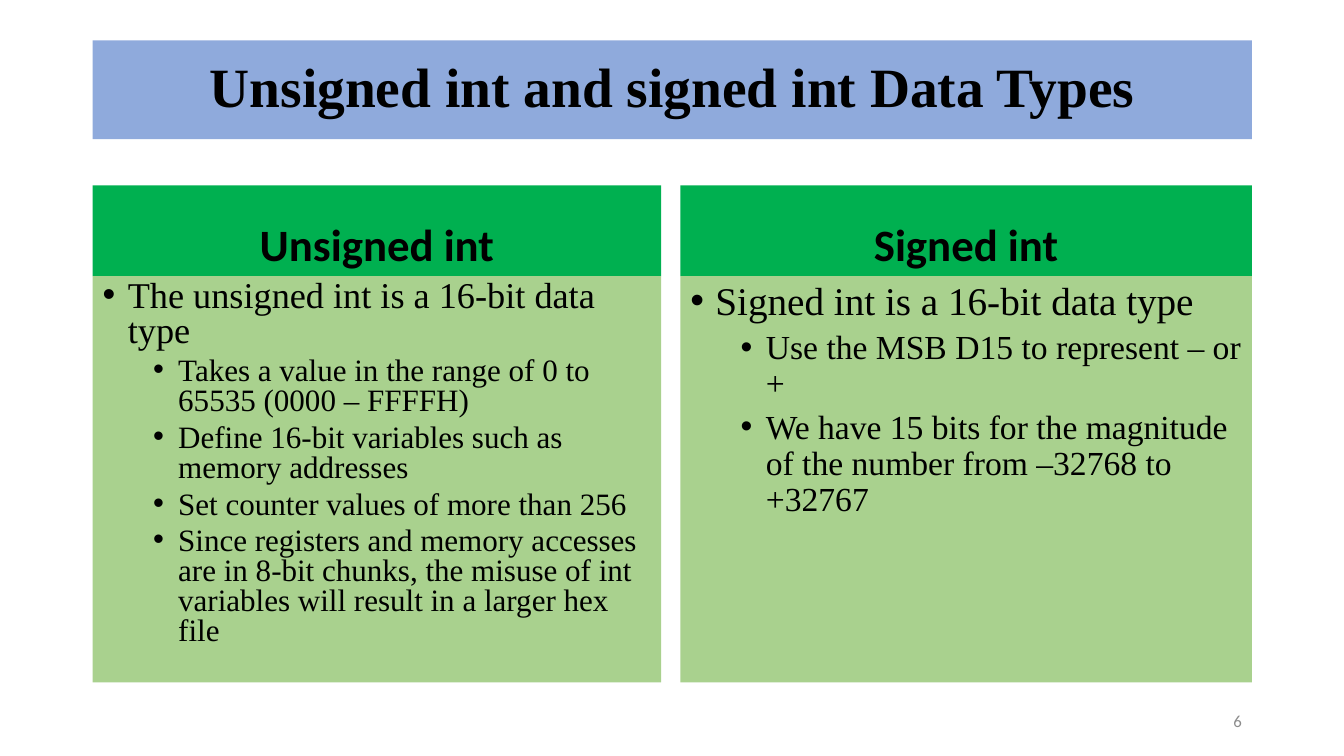
from dataclasses import dataclass

import pptx
import pptx.dml.color
import pptx.enum.shapes
import pptx.enum.text
import pptx.oxml.ns
import pptx.util
from lxml import etree

Pt = pptx.util.Pt
RGBColor = pptx.dml.color.RGBColor
ALIGN = pptx.enum.text.PP_ALIGN
ANCHOR = pptx.enum.text.MSO_ANCHOR

BLACK = RGBColor(0x00, 0x00, 0x00)
GRAY = RGBColor(0x8C, 0x8C, 0x8C)
BLUE = RGBColor(0x8F, 0xAA, 0xDC)
GREEN = RGBColor(0x00, 0xB0, 0x50)
LIGHT_GREEN = RGBColor(0xA9, 0xD1, 0x8E)
SERIF = "Times New Roman"
SANS = "Calibri"

LEFT_EDGE = 66.24
HEADING_TOP, HEADING_HEIGHT = 132.48, 64.8
BODY_TOP, BODY_HEIGHT = HEADING_TOP + HEADING_HEIGHT, 290.16


@dataclass
class Line:
    text: str
    size: float
    font: str = SERIF
    bold: bool = False
    color: RGBColor = BLACK
    align: ALIGN = ALIGN.LEFT
    spacing: float = 0.9
    before: float = 0
    indent: float = 0  # left margin of a bulleted line; 0 means no bullet


@dataclass
class Column:
    left: float
    width: float
    heading: str
    lead: str
    points: list[str]
    lead_size: float
    point_size: float
    spacing: float

    def lines(self) -> list[Line]:
        lead = Line(self.lead, self.lead_size, spacing=self.spacing, indent=18)
        return [lead] + [
            Line(point, self.point_size, spacing=self.spacing, before=5, indent=54)
            for point in self.points
        ]


COLUMNS = [
    Column(LEFT_EDGE, 406.08, "Unsigned int", "The unsigned int is a 16-bit data type", [
        "Takes a value in the range of 0 to 65535 (0000 – FFFFH)",
        "Define 16-bit variables such as memory addresses",
        "Set counter values of more than 256",
        "Since registers and memory accesses are in 8-bit chunks, the misuse of int "
        "variables will result in a larger hex file",
    ], 25.9, 22.2, 0.8),
    Column(486, 408.24, "Signed int", "Signed int is a 16-bit data type", [
        "Use the MSB D15 to represent – or +",
        "We have 15 bits for the magnitude of the number from –32768 to +32767",
    ], 28, 24, 0.9),
]


def set_attributes(target: object, values: dict) -> None:
    for name, value in values.items():
        setattr(target, name, value)


def add_bullet(paragraph, indent: float) -> None:
    properties = paragraph._p.get_or_add_pPr()
    properties.set("marL", str(Pt(indent)))
    properties.set("indent", str(Pt(-18)))
    qn = pptx.oxml.ns.qn
    etree.SubElement(properties, qn("a:buFont")).set("typeface", "Arial")
    etree.SubElement(properties, qn("a:buChar")).set("char", "•")


def fill_text(shape, lines: list[Line], anchor: ANCHOR) -> None:
    frame = shape.text_frame
    set_attributes(frame, {"word_wrap": True, "vertical_anchor": anchor})
    for index, line in enumerate(lines):
        paragraph = frame.add_paragraph() if index else frame.paragraphs[0]
        if line.indent:
            add_bullet(paragraph, line.indent)
        set_attributes(paragraph, {
            "alignment": line.align,
            "line_spacing": line.spacing,
            "space_before": Pt(line.before),
        })
        run = paragraph.add_run()
        run.text = line.text
        set_attributes(run.font, {"name": line.font, "size": Pt(line.size), "bold": line.bold})
        run.font.color.rgb = line.color


def add_panel(slide, left: float, top: float, width: float, height: float,
              color: RGBColor, lines: list[Line], anchor: ANCHOR) -> None:
    shape = slide.shapes.add_shape(
        pptx.enum.shapes.MSO_SHAPE.RECTANGLE, Pt(left), Pt(top), Pt(width), Pt(height))
    shape.shadow.inherit = False
    shape.fill.solid()
    shape.fill.fore_color.rgb = color
    shape.line.fill.background()
    fill_text(shape, lines, anchor)


def main() -> None:
    presentation = pptx.Presentation()
    set_attributes(presentation, {"slide_width": Pt(960), "slide_height": Pt(540)})
    slide = presentation.slides.add_slide(presentation.slide_layouts[6])

    # Title band
    title = Line("Unsigned int and signed int Data Types", 39.6, bold=True, align=ALIGN.CENTER)
    add_panel(slide, LEFT_EDGE, 28.8, 828, 70.56, BLUE, [title], ANCHOR.MIDDLE)

    # Comparison columns
    for column in COLUMNS:
        heading = Line(column.heading, 32, SANS, bold=True, align=ALIGN.CENTER)
        add_panel(slide, column.left, HEADING_TOP, column.width, HEADING_HEIGHT,
                  GREEN, [heading], ANCHOR.BOTTOM)
        add_panel(slide, column.left, BODY_TOP, column.width, BODY_HEIGHT,
                  LIGHT_GREEN, column.lines(), ANCHOR.TOP)

    # Slide number
    number_box = slide.shapes.add_textbox(Pt(678.24), Pt(500.4), Pt(216), Pt(28.8))
    number = Line("6", 12, SANS, color=GRAY, align=ALIGN.RIGHT, spacing=1.0)
    fill_text(number_box, [number], ANCHOR.MIDDLE)

    presentation.save("out.pptx")


if __name__ == "__main__":
    main()
